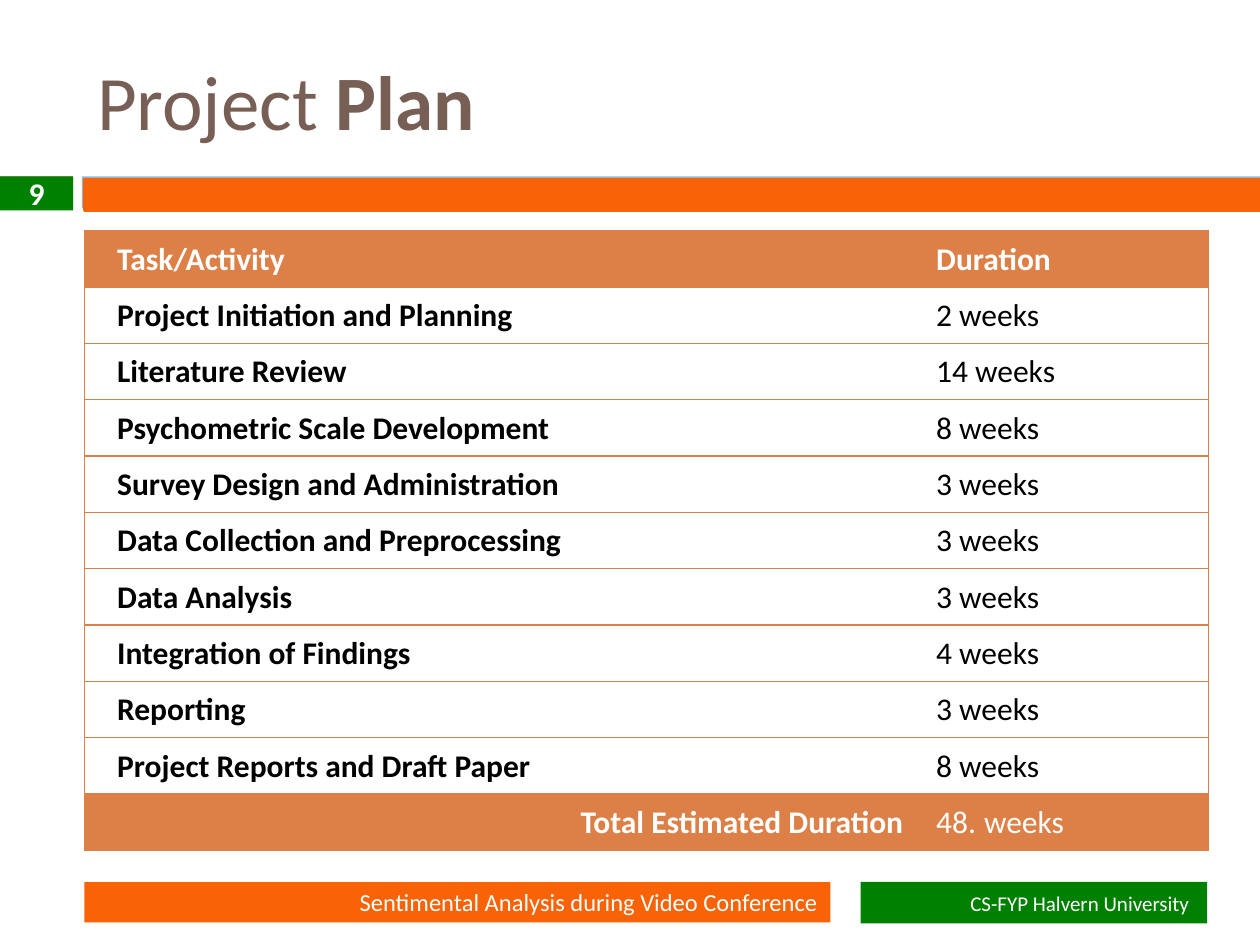
import pptx
import pptx.util
import pptx.dml.color
import pptx.enum.shapes
import pptx.enum.text
import pptx.oxml.ns
import lxml.etree

Inches = pptx.util.Inches
Pt = pptx.util.Pt
RGBColor = pptx.dml.color.RGBColor
Align = pptx.enum.text.PP_ALIGN
Anchor = pptx.enum.text.MSO_ANCHOR
qn = pptx.oxml.ns.qn

BROWN = RGBColor(0x77, 0x5F, 0x55)
COPPER = RGBColor(0xDD, 0x80, 0x47)
ORANGE = RGBColor(0xF8, 0x63, 0x08)
GREEN = RGBColor(0x00, 0x80, 0x00)
BLUE = RGBColor(0x94, 0xB6, 0xD2)
WHITE = RGBColor(0xFF, 0xFF, 0xFF)
BLACK = RGBColor(0x00, 0x00, 0x00)

LEFT = 0.67
TASKS = [
    ("Project Initiation and Planning", "2 weeks"),
    ("Literature Review", "14 weeks"),
    ("Psychometric Scale Development", "8 weeks"),
    ("Survey Design and Administration", "3 weeks"),
    ("Data Collection and Preprocessing", "3 weeks"),
    ("Data Analysis", "3 weeks"),
    ("Integration of Findings", "4 weeks"),
    ("Reporting", "3 weeks"),
    ("Project Reports and Draft Paper", "8 weeks"),
]


def add_run(para, text, size, color, bold=False):
    run = para.add_run()
    run.text = text
    font = run.font
    font.name = "Calibri"
    font.size = Pt(size)
    font.bold = bold
    font.color.rgb = color


def add_bar(slide, box, color, line=None):
    bar = slide.shapes.add_shape(
        pptx.enum.shapes.MSO_SHAPE.RECTANGLE, *map(Inches, box))
    bar.shadow.inherit = False
    bar.fill.solid()
    bar.fill.fore_color.rgb = color
    if line:
        bar.line.color.rgb = color
        bar.line.width = Pt(line)
    else:
        bar.line.fill.background()
    return bar


def add_label(slide, box, color, text, size, align, inset=0.1, bold=False):
    frame = add_bar(slide, box, color).text_frame
    frame.word_wrap = True
    frame.vertical_anchor = Anchor.MIDDLE
    frame.margin_right = Inches(inset)
    frame.margin_top = frame.margin_bottom = 0
    para = frame.paragraphs[0]
    para.alignment = align
    add_run(para, text, size, WHITE, bold)


def set_title(slide):
    title = slide.shapes.title
    title.left, title.top = Inches(LEFT), Inches(0.25)
    title.width, title.height = Inches(8.33), Inches(1.08)
    frame = title.text_frame
    frame.word_wrap = True
    frame.vertical_anchor = Anchor.MIDDLE
    para = frame.paragraphs[0]
    para.alignment = Align.LEFT
    add_run(para, "Project ", 44, BROWN)
    add_run(para, "Plan", 44, BROWN, True)


def set_edges(cell, hidden):
    props = cell._tc.get_or_add_tcPr()
    for side in ("lnL", "lnR", "lnT", "lnB"):
        edge = lxml.etree.SubElement(props, qn("a:" + side), w=str(Pt(0.79)))
        if side == hidden:
            lxml.etree.SubElement(edge, qn("a:noFill"))
        else:
            fill = lxml.etree.SubElement(edge, qn("a:solidFill"))
            lxml.etree.SubElement(fill, qn("a:srgbClr"), val=str(COPPER))


def set_indent(para, left, first=0):
    props = para._p.get_or_add_pPr()
    props.set("marL", str(Inches(left)))
    props.set("indent", str(Inches(first)))
    return props


def fill_cell(cell, text, color, bold, hidden, shade):
    set_edges(cell, hidden)
    if shade:
        cell.fill.solid()
        cell.fill.fore_color.rgb = COPPER
    else:
        cell.fill.background()
    cell.vertical_anchor = Anchor.MIDDLE
    cell.margin_left = cell.margin_right = cell.margin_top = Inches(0.01)
    cell.margin_bottom = 0
    para = cell.text_frame.paragraphs[0]
    add_run(para, text, 18, color, bold)
    return para


def add_plan(slide):
    rows = [("Task/Activity", "Duration"), *TASKS,
            ("Total Estimated Duration", "weeks")]
    last = len(rows) - 1
    table = slide.shapes.add_table(
        len(rows), 2, Inches(LEFT), Inches(1.83),
        Inches(8.92), Inches(4.92)).table
    table.horz_banding = False
    table.columns[0].width = Inches(6.75)
    table.columns[1].width = Inches(2.17)
    for num, (task, span) in enumerate(rows):
        table.rows[num].height = Inches(4.92 / len(rows))
        shade = num in (0, last)
        color = WHITE if shade else BLACK
        name, time = table.cell(num, 0), table.cell(num, 1)
        first = fill_cell(name, task, color, True, "lnR", shade)
        second = fill_cell(time, span, color, num == 0, "lnL", shade)
        if num < last:
            set_indent(first, 0.25)
        else:
            first.alignment = Align.RIGHT
            name.margin_right = Inches(0.25)
            props = set_indent(second, 0.38, -0.38)
            lxml.etree.SubElement(props, qn("a:buAutoNum"),
                                  type="arabicPeriod", startAt="48")


def main():
    deck = pptx.Presentation()
    deck.slide_width, deck.slide_height = Inches(10), Inches(7.5)
    slide = deck.slides.add_slide(deck.slide_layouts[5])
    add_bar(slide, (0, 1.4, 0.58, 0.25), COPPER)
    add_bar(slide, (0.65, 1.4, 9.35, 0.25), BLUE)
    add_bar(slide, (LEFT, 1.42, 9.33, 0.25), ORANGE, 1.5)
    set_title(slide)
    add_label(slide, (LEFT, 7, 5.92, 0.32), ORANGE,
              "Sentimental Analysis during Video Conference", 14, Align.RIGHT)
    add_label(slide, (6.83, 7, 2.75, 0.33), GREEN,
              "CS-FYP Halvern University", 12, Align.RIGHT, 0.14)
    add_label(slide, (0, 1.4, 0.58, 0.27), GREEN, "9", 18, Align.CENTER,
              bold=True)
    add_plan(slide)
    deck.save("out.pptx")


if __name__ == "__main__":
    main()
